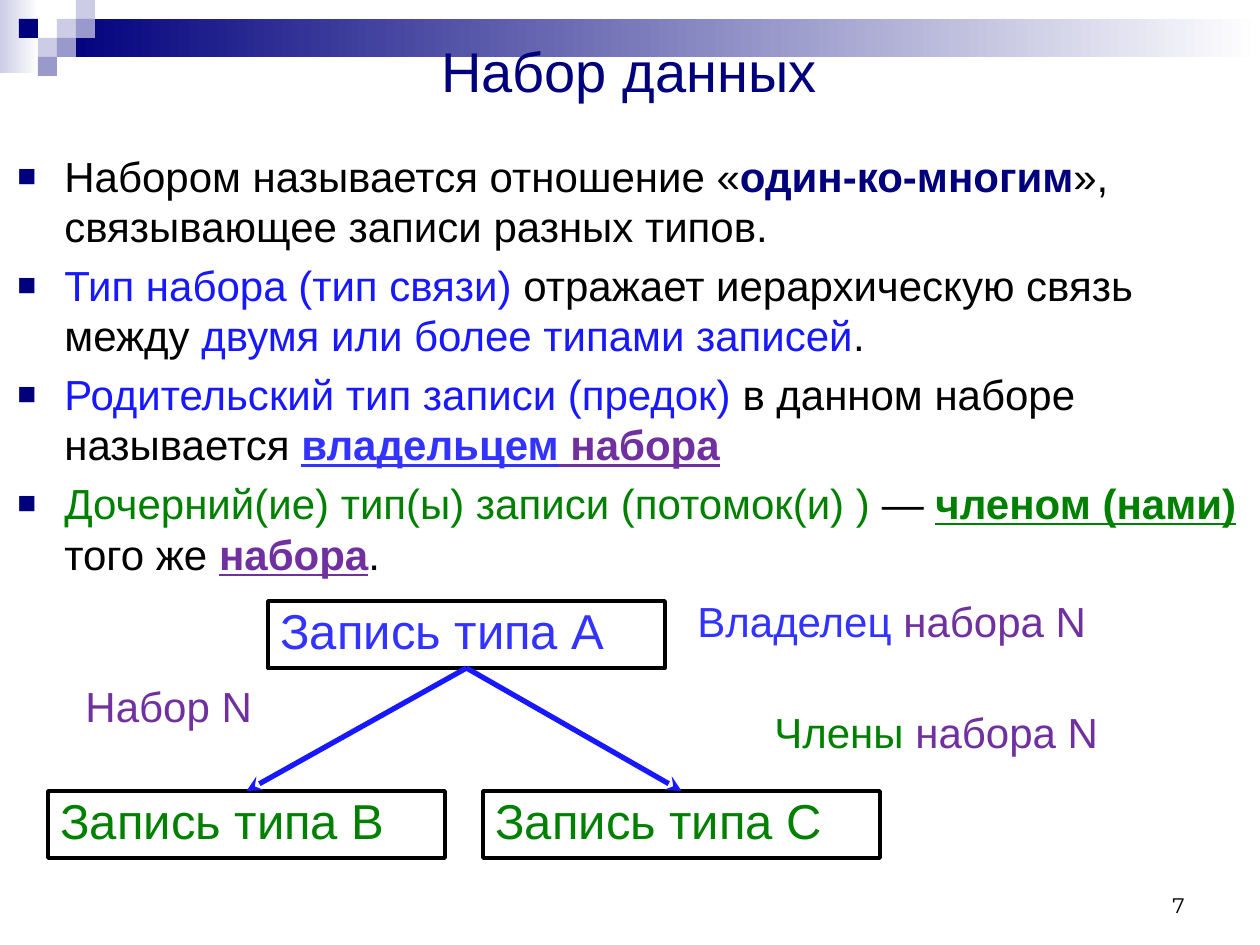
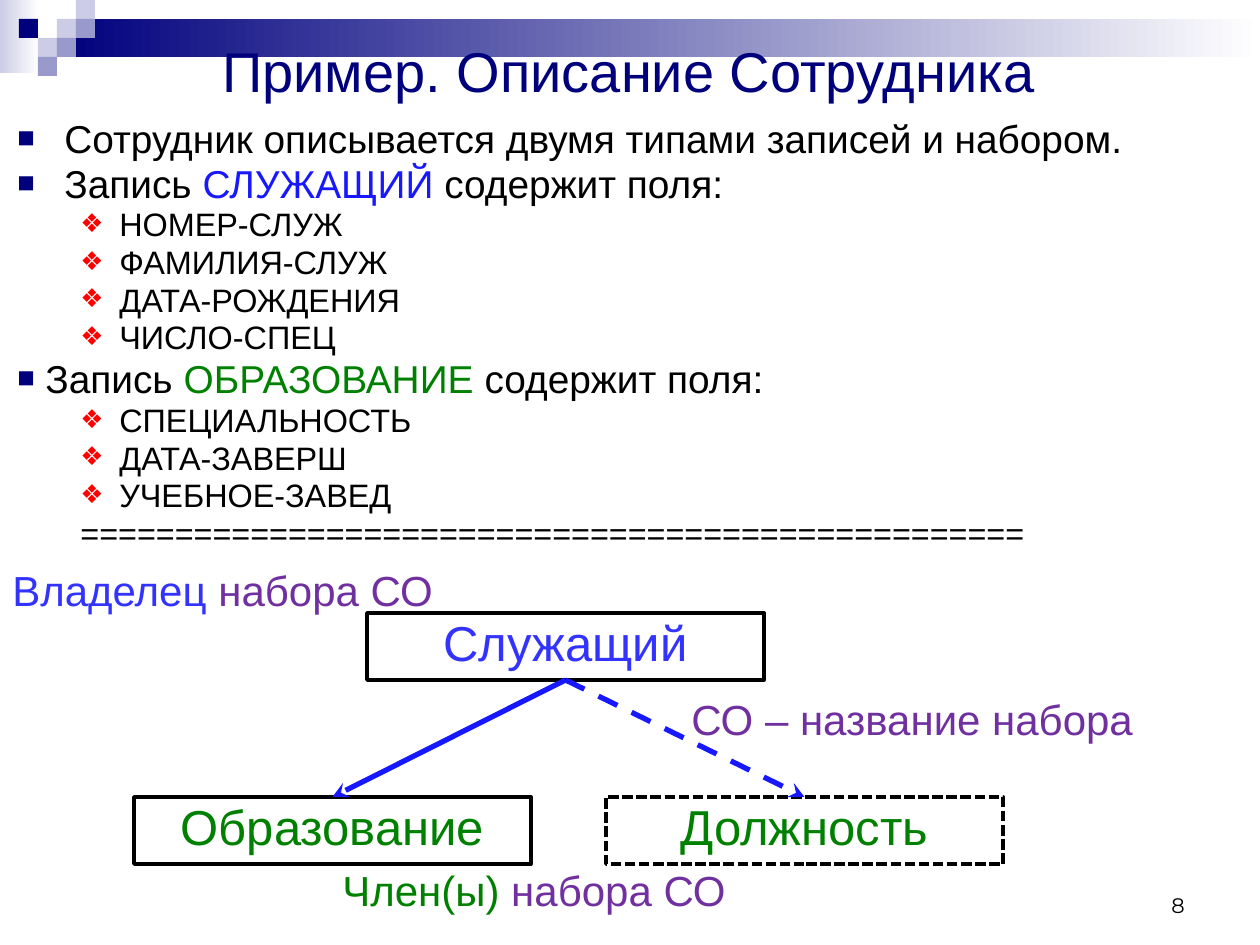
from lxml import etree
from pptx import Presentation
from pptx import util as u
from pptx.dml.color import RGBColor
from pptx.enum import dml, shapes, text
from pptx.oxml.ns import qn

EMU_PER_PX = 914400 / 126
COLORS = {
    "navy": "00007D", "light": "CCCCE6", "mid": "9999CC", "white": "FFFFFF",
    "black": "000000", "blue": "1818FF", "owner": "3333FF",
    "member": "008000", "set": "7030A0", "red": "FF0000",
}
MOSAIC = [(3, 1, "light"), (4, 0, "light"), (4, 1, "mid"), (2, 2, "light"),
          (1, 1, "navy"), (3, 2, "mid"), (2, 3, "mid")]
CELL = 19
RECORD_SIZE = (397, 67)


def px(value):
    return u.Emu(round(value * EMU_PER_PX))


def rgb(name):
    return RGBColor.from_string(COLORS[name])


class Deck:
    def __init__(self):
        self.prs = Presentation()
        self.prs.slide_width, self.prs.slide_height = px(1260), px(945)
        self.slide = None

    def new_slide(self, title, number):
        self.slide = self.prs.slides.add_slide(self.prs.slide_layouts[6])
        self.block(0, 0, 39, 73, "light", "white")
        self.block(57, 19, 1203, 38, "navy", "white")
        for column, row, color in MOSAIC:
            self.block(column * CELL, row * CELL, CELL, CELL, color)
        heading = self.text_box(49, 35, 1160, 79, text.MSO_ANCHOR.MIDDLE)
        self.paragraph(heading, [title], 32, "navy", align="CENTER", spacing=0.9)
        page = self.text_box(903, 861, 294, 63, text.MSO_ANCHOR.BOTTOM)
        self.paragraph(page, [number], 12, align="RIGHT", font="Montserrat")

    def rectangle(self, x, y, width, height):
        shape = self.slide.shapes.add_shape(
            shapes.MSO_SHAPE.RECTANGLE, px(x), px(y), px(width), px(height))
        shape.shadow.inherit = False
        return shape

    def block(self, x, y, width, height, color, fade_to=None):
        shape = self.rectangle(x, y, width, height)
        shape.line.fill.background()
        if fade_to:
            shape.fill.gradient()
            shape.fill.gradient_angle = 0
            for stop, name in zip(shape.fill.gradient_stops, (color, fade_to)):
                stop.color.rgb = rgb(name)
        else:
            shape.fill.solid()
            shape.fill.fore_color.rgb = rgb(color)

    def text_box(self, x, y, width, height, anchor=text.MSO_ANCHOR.TOP):
        frame = self.slide.shapes.add_textbox(
            px(x), px(y), px(width), px(height)).text_frame
        frame.word_wrap = True
        frame.vertical_anchor = anchor
        return frame

    def paragraph(self, frame, runs, size, color="black", align="LEFT",
                  spacing=None, font="Arial", indent=None, bullet=None, level=0):
        first = not frame.paragraphs[0].runs
        para = frame.paragraphs[0] if first else frame.add_paragraph()
        para.alignment = text.PP_ALIGN[align]
        para.level = level
        if spacing:
            para.line_spacing = spacing
        if not first:
            para.space_before = u.Pt(size * 0.2)
        if indent:
            margin, hanging = indent
            props = para._p.get_or_add_pPr()
            props.set("marL", str(px(margin)))
            props.set("indent", str(px(-hanging)))
        if bullet:
            self.bullet(para, *bullet)
        para.font.name, para.font.size = font, u.Pt(size)
        para.font.color.rgb = rgb(color)
        for piece in runs:
            wording, tint, style = (piece, None, "") if isinstance(piece, str) else piece
            run = para.add_run()
            run.text = wording
            if tint:
                run.font.color.rgb = rgb(tint)
            if "b" in style:
                run.font.bold = True
            if "u" in style:
                run.font.underline = True

    def bullet(self, para, symbol, color, percent):
        props = para._p.get_or_add_pPr()
        tint = etree.SubElement(props, qn("a:buClr"))
        etree.SubElement(tint, qn("a:srgbClr"), val=COLORS[color])
        etree.SubElement(props, qn("a:buSzPct"), val=str(percent * 1000))
        etree.SubElement(props, qn("a:buFont"), typeface="Arial")
        etree.SubElement(props, qn("a:buChar"), char=symbol)

    def label(self, x, y, width, *runs):
        frame = self.text_box(x, y, width, 58)
        self.paragraph(frame, runs, 24, "set", spacing=0.9)

    def record(self, x, y, name, color, align="LEFT", dash=None):
        shape = self.rectangle(x, y, *RECORD_SIZE)
        shape.fill.background()
        shape.line.color.rgb = rgb("black")
        shape.line.width = u.Pt(2)
        if dash:
            shape.line.dash_style = dash
        shape.text_frame.word_wrap = True
        shape.text_frame.vertical_anchor = text.MSO_ANCHOR.TOP
        self.paragraph(shape.text_frame, [name], 28, color, align, 0.9)
        return shape

    def arrow(self, owner, member, dash=None):
        link = self.slide.shapes.add_connector(
            shapes.MSO_CONNECTOR.STRAIGHT,
            owner.left + owner.width // 2, owner.top + owner.height,
            member.left + member.width // 2, member.top)
        link.begin_connect(owner, 2)
        link.end_connect(member, 0)
        link.line.color.rgb = rgb("blue")
        link.line.width = u.Pt(3)
        if dash:
            link.line.dash_style = dash
        etree.SubElement(link.line._get_or_add_ln(), qn("a:tailEnd"), type="stealth")
        etree.SubElement(link._element.spPr, qn("a:effectLst"))


SQUARE = ("■", "navy", 75)
DIAMOND = ("❖", "red", 80)
HANGING = (47, 47)


def data_set(deck):
    deck.new_slide("Набор данных", "7")
    definitions = [
        ["Набором называется отношение «", ("один-ко-многим", "navy", "b"),
         "», связывающее записи разных типов."],
        [("Тип набора (тип связи) ", "blue", ""),
         "отражает иерархическую связь между ",
         ("двумя или более типами записей", "blue", ""), "."],
        [("Родительский тип записи (предок) ", "blue", ""),
         "в данном наборе называется ", ("владельцем", "owner", "bu"),
         (" набора", "set", "bu")],
        [("Дочерний(ие) тип(ы) записи (потомок(и) ) ", "member", ""), "— ",
         ("членом (нами)", "member", "bu"), " того же ",
         ("набора", "set", "bu"), "."],
    ]
    body = deck.text_box(5, 144, 1255, 408)
    for runs in definitions:
        deck.paragraph(body, runs, 24, indent=HANGING, bullet=SQUARE)
    owner = deck.record(268, 601, "Запись типа А", "owner")
    for x, name in [(48, "Запись типа B"), (483, "Запись типа С")]:
        deck.arrow(owner, deck.record(x, 791, name, "member"))
    deck.label(685, 595, 498, ("Владелец ", "owner", ""), "набора N")
    deck.label(762, 706, 498, ("Члены ", "member", ""), "набора N")
    deck.label(73, 680, 248, "Набор N")


def employee(deck):
    deck.new_slide("Пример. Описание Сотрудника", "8")
    body = deck.text_box(5, 117, 1255, 476)

    def topic(*runs, indent=HANGING):
        deck.paragraph(body, runs, 22.2, spacing=0.8, indent=indent, bullet=SQUARE)

    def field(name, bullet=DIAMOND):
        deck.paragraph(body, [name], 18.5, spacing=0.8, indent=(102, 39),
                       bullet=bullet, level=1)

    topic("Сотрудник описывается двумя типами записей и набором.")
    topic("Запись ", ("СЛУЖАЩИЙ ", "blue", ""), "содержит поля:")
    for name in ("НОМЕР-СЛУЖ", "ФАМИЛИЯ-СЛУЖ", "ДАТА-РОЖДЕНИЯ", "ЧИСЛО-СПЕЦ"):
        field(name)
    topic("Запись ", ("ОБРАЗОВАНИЕ", "member", ""), " содержит поля:", indent=(28, 28))
    for name in ("СПЕЦИАЛЬНОСТЬ", "ДАТА-ЗАВЕРШ", "УЧЕБНОЕ-ЗАВЕД"):
        field(name)
    field("=" * 50, bullet=None)

    owner = deck.record(367, 613, "Служащий", "owner", "CENTER")
    education = deck.record(134, 797, "Образование", "member", "CENTER")
    position = deck.record(606, 797, "Должность", "member", "CENTER",
                           dml.MSO_LINE.SQUARE_DOT)
    deck.arrow(owner, education)
    deck.arrow(owner, position, dml.MSO_LINE.DASH)
    deck.label(0, 564, 498, ("Владелец ", "owner", ""), "набора СО")
    deck.label(330, 864, 498, ("Член(ы) ", "member", ""), "набора СО")
    deck.label(679, 693, 581, "СО – название набора")


def main():
    deck = Deck()
    data_set(deck)
    employee(deck)
    deck.prs.save("out.pptx")


if __name__ == "__main__":
    main()
